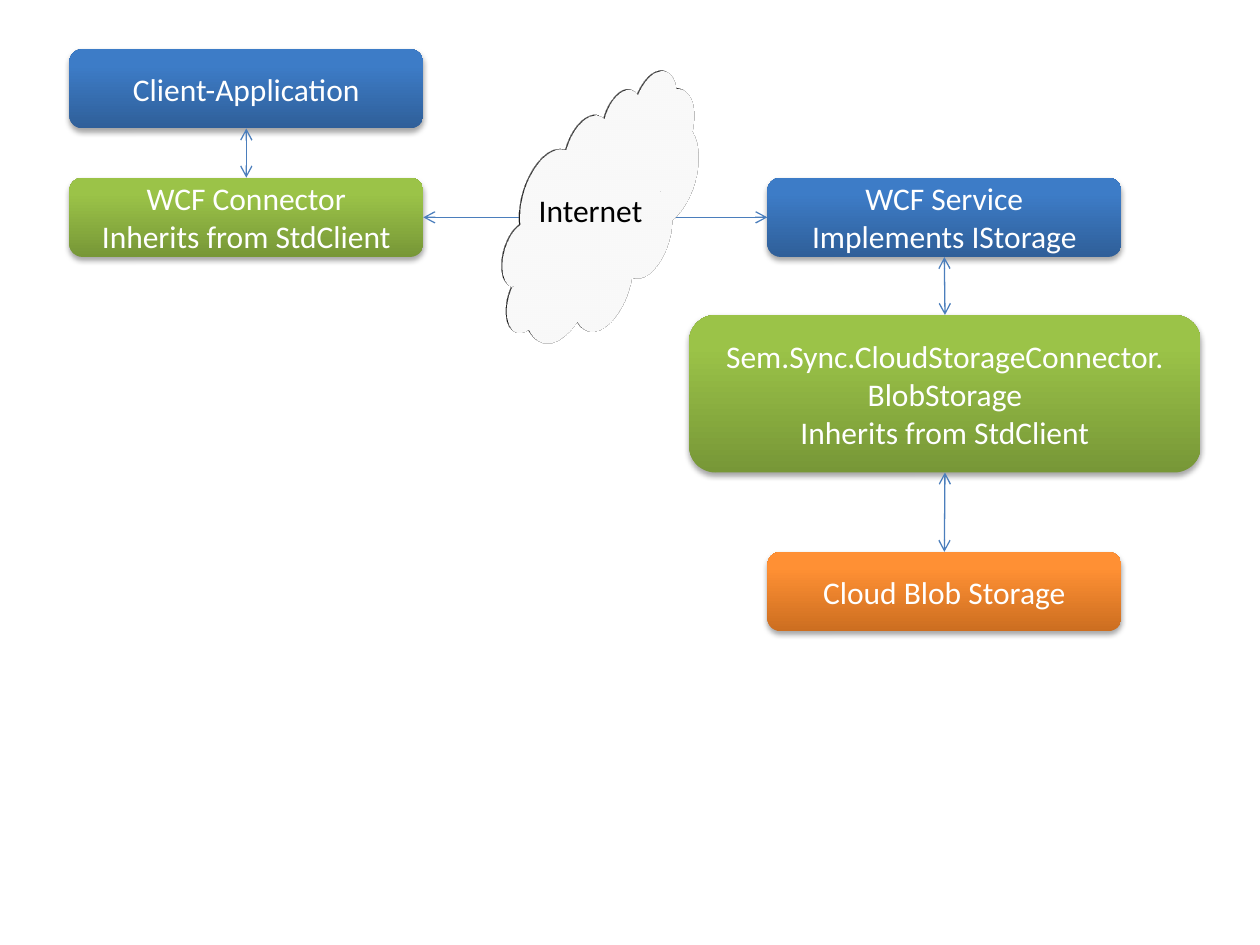
from lxml import etree
from pptx import Presentation
from pptx.dml.color import RGBColor
from pptx.enum.shapes import MSO_CONNECTOR, MSO_SHAPE
from pptx.enum.text import MSO_ANCHOR, PP_ALIGN
from pptx.oxml import parse_xml
from pptx.oxml.ns import nsdecls, qn
from pptx.util import Inches, Pt

ROUNDED, CLOUD = MSO_SHAPE.ROUNDED_RECTANGLE, MSO_SHAPE.CLOUD
STRAIGHT = MSO_CONNECTOR.STRAIGHT
CENTER, MIDDLE = PP_ALIGN.CENTER, MSO_ANCHOR.MIDDLE
TOP, LEFT, BOTTOM, RIGHT = range(4)  # connection sites of a box

COLORS = {
    "green_dark": "779737", "green_light": "9BC348",
    "blue_dark": "2F5F99", "blue_light": "3D7CC7",
    "orange_dark": "CC6E20", "orange_light": "FF9034",
    "arrow": "4B7EBC", "cloud": "F2F2F2", "cloud_line": "595959",
    "white": "FFFFFF", "black": "000000",
}
BOX_W, BOX_H = 2.81, 0.63
CLIENT_X, SERVER_X = 0.55, 6.09
CONNECTION_Y = 1.41


def rgb(name):
    return RGBColor.from_string(COLORS[name])


def write_text(shape, text, color="white", size=18, font="Calibri"):
    frame = shape.text_frame
    frame.word_wrap = True
    frame.vertical_anchor = MIDDLE
    frame.text = text
    for paragraph in frame.paragraphs:
        paragraph.alignment = CENTER
        for run in paragraph.runs:
            run.font.size, run.font.name = Pt(size), font
            run.font.color.rgb = rgb(color)


def add_soft_shadow(shape):
    shape.shadow.inherit = False
    effects = shape._element.spPr.find(qn("a:effectLst"))
    effects.append(parse_xml(
        f'<a:outerShdw {nsdecls("a")} blurRad="{Pt(3.1)}" dist="{Pt(1.8)}" '
        'dir="5400000" rotWithShape="0"><a:srgbClr val="000000">'
        '<a:alpha val="35000"/></a:srgbClr></a:outerShdw>'))


def add_box(slide, text, hue, left, top, width=BOX_W, height=BOX_H):
    box = slide.shapes.add_shape(
        ROUNDED, Inches(left), Inches(top), Inches(width), Inches(height))
    box.fill.gradient()
    box.fill.gradient_angle = 90
    shades = ((0, "dark"), (0.8, "light"))
    for stop, (position, shade) in zip(box.fill.gradient_stops, shades):
        stop.position = position
        stop.color.rgb = rgb(f"{hue}_{shade}")
    box.line.fill.background()
    add_soft_shadow(box)
    write_text(box, text)
    return box


def add_double_arrow(slide, start, start_site, end, end_site):
    arrow = slide.shapes.add_connector(STRAIGHT, 0, 0, 0, 0)
    arrow.begin_connect(start, start_site)
    arrow.end_connect(end, end_site)
    arrow.line.color.rgb = rgb("arrow")
    arrow.line.width = Pt(0.75)
    outline = arrow.line._get_or_add_ln()
    for end_tag in ("a:headEnd", "a:tailEnd"):
        etree.SubElement(outline, qn(end_tag), type="arrow")
    etree.SubElement(arrow._element.spPr, qn("a:effectLst"))


def add_tilted_cloud(slide, text, left, top, size):
    """Add a cloud seen from an isometric camera."""
    cloud = slide.shapes.add_shape(
        CLOUD, Inches(left), Inches(top), Inches(size), Inches(size))
    cloud.fill.solid()
    cloud.fill.fore_color.rgb = rgb("cloud")
    cloud.line.color.rgb = rgb("cloud_line")
    cloud.line.width = Pt(2)
    cloud.shadow.inherit = False
    properties = cloud._element.spPr
    properties.append(parse_xml(
        f'<a:scene3d {nsdecls("a")}><a:camera prst="isometricRightUp"/>'
        '<a:lightRig rig="threePt" dir="t"/></a:scene3d>'))
    etree.SubElement(properties, qn("a:sp3d"), extrusionH=str(Pt(1)))
    write_text(cloud, text, color="black")


def main():
    deck = Presentation()
    deck.slide_width, deck.slide_height = Inches(10), Inches(7.5)
    slide = deck.slides.add_slide(deck.slide_layouts[6])

    connector = add_box(slide, "WCF Connector\nInherits from StdClient",
                        "green", CLIENT_X, CONNECTION_Y)
    client = add_box(slide, "Client-Application", "blue", CLIENT_X, 0.39)
    service = add_box(slide, "WCF Service\nImplements IStorage",
                      "blue", SERVER_X, CONNECTION_Y)
    blob_connector = add_box(
        slide,
        "Sem.Sync.CloudStorageConnector. BlobStorage\nInherits from StdClient",
        "green", 5.47, 2.5, 4.06, 1.25)
    storage = add_box(slide, "Cloud Blob Storage", "orange", SERVER_X, 4.38)

    for link in (
        (client, BOTTOM, connector, TOP),
        (connector, RIGHT, service, LEFT),
        (service, BOTTOM, blob_connector, TOP),
        (blob_connector, BOTTOM, storage, TOP),
    ):
        add_double_arrow(slide, *link)

    add_tilted_cloud(slide, "Internet", 3.67, 0.62, 2.19)
    deck.save("out.pptx")


if __name__ == "__main__":
    main()
